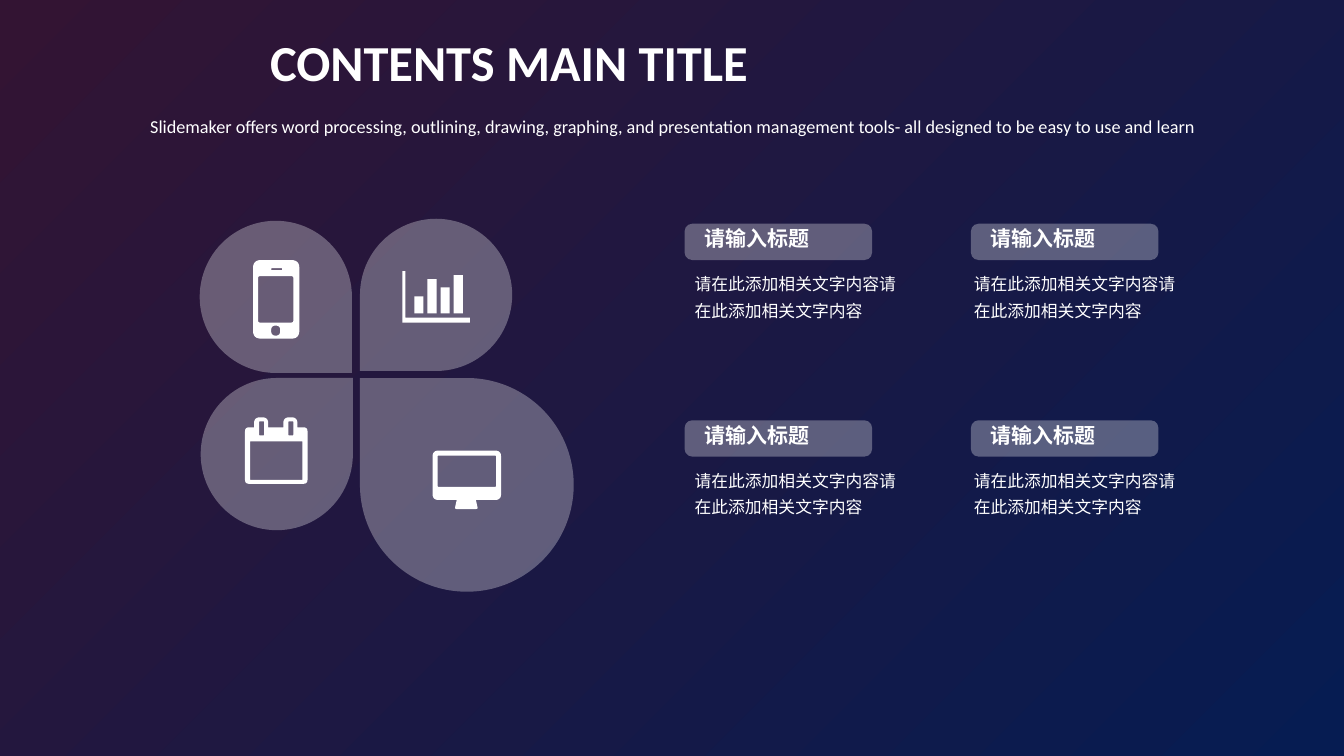
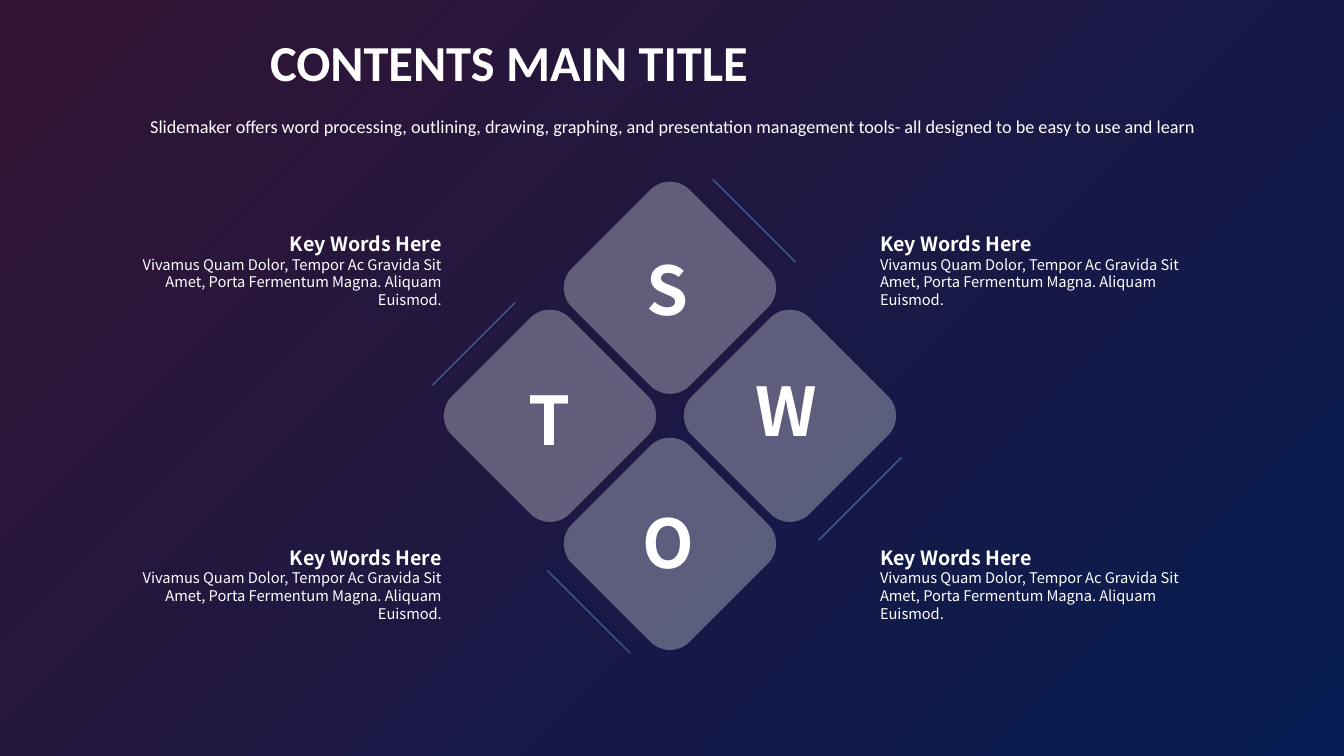
from dataclasses import dataclass

from lxml import etree
from pptx import Presentation
from pptx import util as u
from pptx.dml.color import RGBColor
from pptx.enum import shapes, text
from pptx.oxml.ns import qn

PX = 9144
SHAPE = shapes.MSO_SHAPE
ALIGN = text.PP_ALIGN


@dataclass(frozen=True)
class Theme:
    """Colours, fonts and type sizes shared by all slides."""
    white: str = "FFFFFF"
    dusk: str = "331433"
    navy: str = "061C52"
    accent: str = "3E5A8E"
    veil: int = 30
    latin: str = "Calibri"
    chinese: str = "Noto Sans CJK SC"
    korean: str = "Noto Sans CJK KR"
    title: float = 36
    subtitle: float = 13
    letter: float = 48
    caption: float = 15
    body: float = 12
    keyword: float = 14
    detail: float = 10.5


def px(*lengths):
    """Turn px lengths into EMU."""
    return [u.Emu(round(length * PX)) for length in lengths]


def box(left, top, right, bottom, radius=0):
    """Return the corners of a box as (x, y, radius)."""
    return [(x, y, radius) for x, y in
            ((left, top), (right, top), (right, bottom), (left, bottom))]


def outline(corners, steps=6):
    """Return the points of a polygon whose corners are rounded."""
    points = []
    for i, (x, y, radius) in enumerate(corners):
        if not radius:
            points.append((x, y))
            continue
        ends = []
        for nx, ny, _ in (corners[i - 1], corners[(i + 1) % len(corners)]):
            share = radius / ((nx - x) ** 2 + (ny - y) ** 2) ** 0.5
            ends.append((x + (nx - x) * share, y + (ny - y) * share))
        (ax, ay), (bx, by) = ends
        for step in range(steps + 1):
            t = step / steps
            s = 1 - t
            points.append((s * s * ax + 2 * s * t * x + t * t * bx,
                           s * s * ay + 2 * s * t * y + t * t * by))
    return points


class Deck:
    """Holds the style and the current slide, and draws its elements."""

    def __init__(self, theme):
        """Start a presentation with the shared gradient background."""
        self.theme = theme
        self.prs = Presentation()
        self.prs.slide_width, self.prs.slide_height = px(1333, 750)
        backdrop = self.prs.slide_master.background.fill
        backdrop.gradient()
        backdrop.gradient_angle = 315
        for stop, colour, place in zip(backdrop.gradient_stops,
                                       (theme.dusk, theme.navy), (0, 1)):
            stop.color.rgb = RGBColor.from_string(colour)
            stop.position = place

    def new_slide(self, title, subtitle):
        """Add a slide with its title and subtitle."""
        th = self.theme
        self.slide = self.prs.slides.add_slide(self.prs.slide_layouts[6])
        self.label(258, 26, 817, 71, [(title, th.title, True)], th.latin,
                   ALIGN.JUSTIFY)
        self.label(68, 109, 1197, 32, [(subtitle, th.subtitle, False)],
                   th.latin, ALIGN.CENTER)

    def label(self, left, top, width, height, lines, face, align=None,
              first_spacing=None, wrap=True):
        """Add a text box from (words, size, bold) lines."""
        frame = self.slide.shapes.add_textbox(
            *px(left, top, width, height)).text_frame
        frame.word_wrap = wrap
        frame.auto_size = text.MSO_AUTO_SIZE.SHAPE_TO_FIT_TEXT
        for i, (words, size, bold) in enumerate(lines):
            paragraph = frame.add_paragraph() if i else frame.paragraphs[0]
            paragraph.text = words
            paragraph.alignment = align
            if first_spacing and not i:
                paragraph.line_spacing = first_spacing
            font = paragraph.font
            font.size, font.bold, font.name = u.Pt(size), bold, face
            font.color.rgb = RGBColor.from_string(self.theme.white)
            defaults = paragraph._p.pPr.find(qn("a:defRPr"))
            etree.SubElement(defaults, qn("a:ea"), typeface=face)

    def paint(self, shape):
        """Fill a shape with plain white and no line."""
        shape.shadow.inherit = False
        shape.fill.solid()
        shape.fill.fore_color.rgb = RGBColor.from_string(self.theme.white)
        shape.line.fill.background()

    def glass(self, kind, left, top, width, height, rotation=0, corner=None):
        """Add a translucent preset shape."""
        pane = self.slide.shapes.add_shape(kind, *px(left, top, width, height))
        pane.rotation = rotation
        if corner is not None:
            pane.adjustments[0] = corner
        self.paint(pane)
        colour = pane._element.spPr.find(
            f"{qn('a:solidFill')}/{qn('a:srgbClr')}")
        etree.SubElement(colour, qn("a:alpha"),
                         val=str(self.theme.veil * 1000))

    def icon(self, *contours):
        """Add a white icon; inner contours are cut out."""
        rings = [[px(*point) for point in outline(c)] for c in contours]
        builder = self.slide.shapes.build_freeform(*rings[0][0], scale=1.0)
        for i, ring in enumerate(rings):
            if i:
                builder.move_to(*ring[0])
            builder.add_line_segments(ring[1:], close=True)
        self.paint(builder.convert_to_shape())

    def rule(self, *ends):
        """Add a thin accent line."""
        line = self.slide.shapes.add_connector(
            shapes.MSO_CONNECTOR.STRAIGHT, *px(*ends))
        line.line.width = u.Pt(1)
        line.line.color.rgb = RGBColor.from_string(self.theme.accent)
        etree.SubElement(line._element.spPr, qn("a:effectLst"))

    def panel(self, left, top, body_left, caption, body):
        """Add a caption on a glass bar with text below."""
        th = self.theme
        self.glass(SHAPE.ROUNDED_RECTANGLE, left, top, 186, 36, corner=0.21)
        self.label(left + 10, top - 3, 167, 47, [(caption, th.caption, True)],
                   th.chinese)
        self.label(body_left, top + 39, 225, 117, [(body, th.body, False)],
                   th.chinese, first_spacing=1.3)


def petals_slide(deck):
    """Build the petals with icons and four captioned panels."""
    for left, top, size, rotation in ((357, 375, 212, 270),
                                      (357, 217, 151, 180),
                                      (199, 375, 151, 0),
                                      (198, 219, 151, 90)):
        deck.glass(SHAPE.TEAR, left, top, size, size, rotation)

    calendar = [(243, 424, 4)]
    for ring in (252, 281):
        calendar += [(ring, 424, 0), (ring, 414, 6),
                     (ring + 14, 414, 6), (ring + 14, 424, 0)]
    calendar += [(305, 424, 4), (305, 480, 4), (243, 480, 4)]
    deck.icon(calendar, box(248, 438, 300, 476),
              *(box(x, 418, x + 5, 432, 1) for x in (257, 286)))

    monitor = [(429, 447, 6), (497, 447, 6), (497, 496, 6), (472, 496, 0),
               (474, 505, 2), (451, 505, 2), (453, 496, 0), (429, 496, 6)]
    deck.icon(monitor, box(434, 452, 492, 483, 1))

    axes = [(399, 269, 0), (402, 269, 0), (402, 315, 0),
            (466, 315, 0), (466, 320, 0), (399, 320, 0)]
    deck.icon(axes, *(box(411 + 13 * i, top, 420 + 13 * i, 311)
                      for i, top in enumerate((294, 277, 285, 273))))

    deck.icon(box(251, 258, 297, 336, 8), box(256, 274, 291, 320, 2),
              box(269, 266, 280, 268, 1), box(269, 323, 278, 333, 4.5))

    for top in (222, 417):
        for left, body_left in ((679, 679), (963, 956)):
            deck.panel(left, top, body_left, "请输入标题",
                       "请在此添加相关文字内容请在此添加相关文字内容")


def swot_slide(deck):
    """Build the four lettered diamonds with key words around them."""
    th = deck.theme
    side, across, down = 165, 119, 127
    for letter, column, row, left, top, width in (
            ("S", 0, -1, 631, 241, 66), ("W", 1, 0, 740, 361, 87),
            ("O", 0, 1, 627, 492, 73), ("T", -1, 0, 514, 370, 62)):
        deck.glass(SHAPE.ROUNDED_RECTANGLE, 582 + column * across,
                   330 + row * down, side, side, 45)
        deck.label(left, top, width, 91, [(letter, th.letter, True)],
                   th.korean, wrap=False)

    key_words = [("Key Words Here", th.keyword, True),
                 ("Vivamus Quam Dolor, Tempor Ac Gravida Sit Amet, Porta "
                  "Fermentum Magna. Aliquam Euismod.", th.detail, False)]
    for left, align in ((863, ALIGN.LEFT), (116, ALIGN.RIGHT)):
        for top in (202, 513):
            deck.label(left, top, 332, 110, key_words, th.chinese, align, 2.0)

    for x, y, rise in ((707, 178, 82), (429, 382, -82),
                       (543, 566, 82), (812, 536, -82)):
        deck.rule(x, y, x + 82, y + rise)


def main():
    """Build and save the slides."""
    deck = Deck(Theme())
    for build in (petals_slide, swot_slide):
        deck.new_slide("CONTENTS MAIN TITLE",
                       "Slidemaker offers word processing, outlining, drawing, "
                       "graphing, and presentation management tools- all "
                       "designed to be easy to use and learn")
        build(deck)
    deck.prs.save("out.pptx")


if __name__ == "__main__":
    main()
